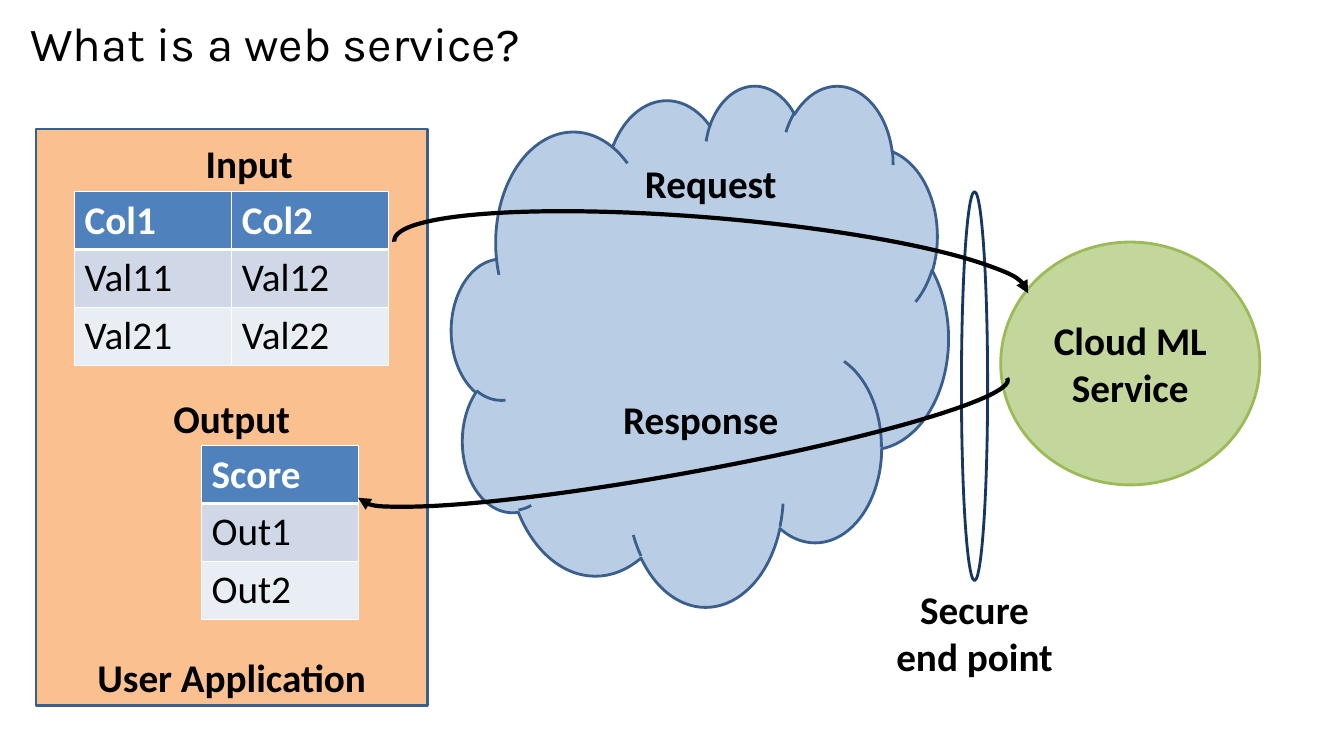
from lxml.etree import SubElement
from pptx import Presentation
from pptx.dml.color import RGBColor
from pptx.enum.shapes import MSO_SHAPE
from pptx.enum.text import MSO_ANCHOR, PP_ALIGN
from pptx.oxml.ns import qn
from pptx.util import Cm, Pt

HUES = {
    "black": "000000", "white": "FFFFFF", "orange": "FAC090", "sky": "B9CDE5",
    "edge": "3A5F8C", "green": "C3D69B", "leaf": "9BBB59", "navy": "17375E",
    "head": "4F81BD", "odd": "D0D8E8", "even": "E9EDF4",
}

deck = Presentation()
deck.slide_width, deck.slide_height = Cm(33.87), Cm(19.05)
slide = deck.slides.add_slide(deck.slide_layouts[6])
shapes = slide.shapes


def add_form(kind, box, fill, line, width=2):
    form = shapes.add_shape(kind, *map(Cm, box))
    form.shadow.inherit = False
    if fill:
        form.fill.solid()
        form.fill.fore_color.rgb = RGBColor.from_string(HUES[fill])
    else:
        form.fill.background()
    form.line.color.rgb = RGBColor.from_string(HUES[line])
    form.line.width = Pt(width)
    return form


def set_text(frame, text, hue="black", bold=True, align=PP_ALIGN.CENTER, size=28, font="Calibri"):
    frame.text = text
    frame.word_wrap = True
    for para in frame.paragraphs:
        para.alignment = align
        for run in para.runs:
            run.font.size, run.font.name, run.font.bold = Pt(size), font, bold
            run.font.color.rgb = RGBColor.from_string(HUES[hue])


# Application panel, title and cloud
add_form(MSO_SHAPE.RECTANGLE, (0.91, 3.25, 9.86, 14.53), "orange", "edge")
title = shapes.add_textbox(Cm(0.51), Cm(0.51), Cm(27.1), Cm(2.95)).text_frame
set_text(title, "What is a web service?", bold=False, align=PP_ALIGN.LEFT, size=34, font="Karla")
title.paragraphs[0].line_spacing = 0.8
add_form(MSO_SHAPE.CLOUD, (11.38, 2.13, 12.52, 13.13), "sky", "edge")

# Service and secure end point
service = add_form(MSO_SHAPE.OVAL, (25.22, 6.1, 6.53, 6.12), "green", "leaf")
set_text(service.text_frame, "Cloud ML Service")
service.text_frame.vertical_anchor = MSO_ANCHOR.MIDDLE
add_form(MSO_SHAPE.OVAL, (24.23, 4.83, 0.66, 9.8), None, "navy")

# Input and output tables
COL, ROW = 3.96, 1.46
TABLES = [
    (1.88, 4.83, [["Col1", "Col2"], ["Val11", "Val12"], ["Val21", "Val22"]]),
    (5.08, 11.23, [["Score"], ["Out1"], ["Out2"]]),
]
for left, top, data in TABLES:
    rows, cols = len(data), len(data[0])
    table = shapes.add_table(rows, cols, Cm(left), Cm(top), Cm(COL * cols), Cm(ROW * rows)).table
    for r, texts in enumerate(data):
        table.rows[r].height = Cm(ROW)
        for c, text in enumerate(texts):
            cell = table.cell(r, c)
            set_text(cell.text_frame, text, "black" if r else "white", r == 0, PP_ALIGN.LEFT)
            props = cell._tc.get_or_add_tcPr()
            for side in ("L", "R", "T", "B"):
                thick = (r, side) in ((0, "B"), (1, "T"))
                line = SubElement(props, qn("a:ln" + side), w=str(Pt(3 if thick else 1)))
                paint = SubElement(line, qn("a:solidFill"))
                SubElement(paint, qn("a:srgbClr"), val=HUES["white"])
            cell.fill.solid()
            cell.fill.fore_color.rgb = RGBColor.from_string(HUES[("head", "odd", "even")[r]])

# Request and response arrows
ARROWS = [
    ((9.91, 5.49, 16.03, 2.46), 4.8, False),
    ((8.89, 10.19, 16.64, 1.73), 349.7, True),
]
for box, turn, flip in ARROWS:
    arc = add_form(MSO_SHAPE.ARC, box, None, "black", 3)
    arc.adjustments[0], arc.adjustments[1] = 107.82, 0
    arc.rotation = turn
    if flip:
        for axis in ("flipH", "flipV"):
            arc._element.spPr.xfrm.set(axis, "1")
    SubElement(arc.line._get_or_add_ln(), qn("a:tailEnd"), type="triangle")

# Labels
LABELS = [
    ("User Application", 0.91, 16.33),
    ("Output", 0.91, 9.8),
    ("Input", 1.35, 3.38),
    ("Request", 12.98, 3.89),
    ("Response", 12.73, 9.83),
    ("Secure\nend point", 19.63, 14.63),
]
for text, left, top in LABELS:
    high = 1.45 + 1.19 * text.count("\n")
    label = shapes.add_textbox(Cm(left), Cm(top), Cm(9.86), Cm(high))
    set_text(label.text_frame, text)

deck.save("out.pptx")
